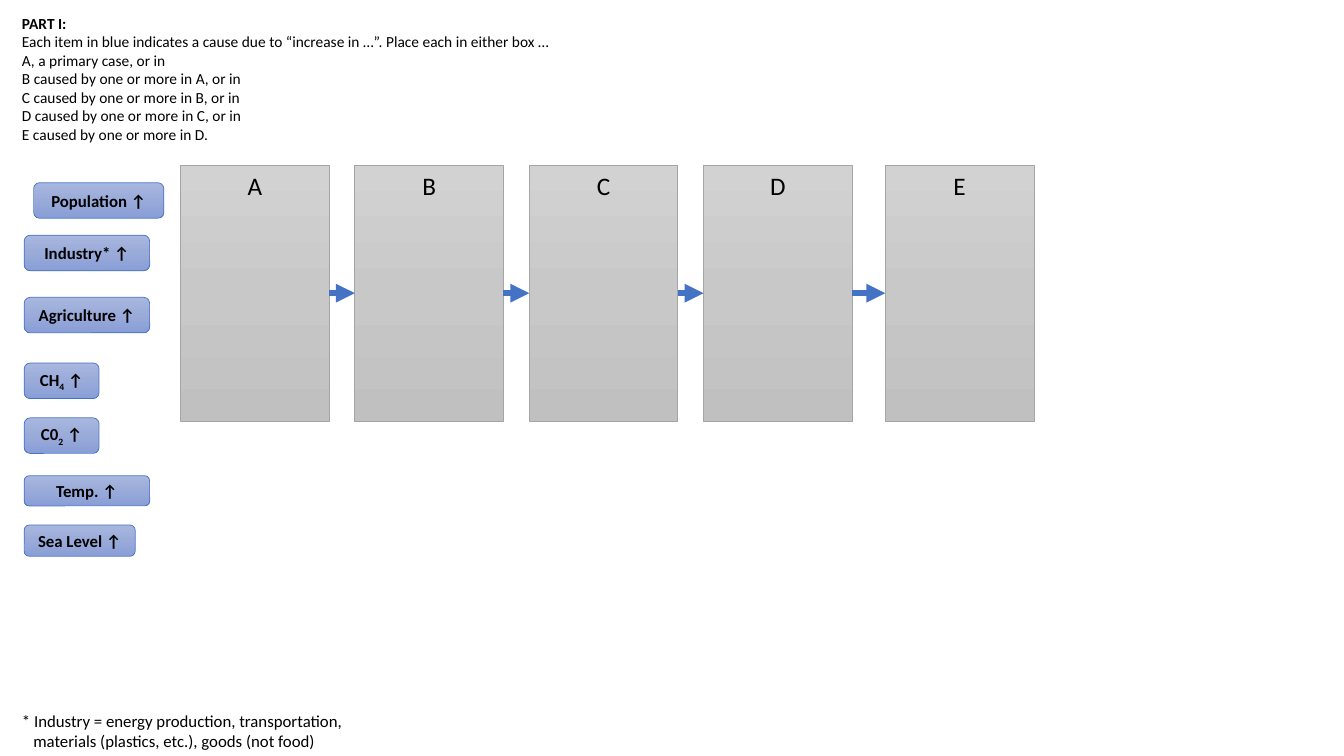
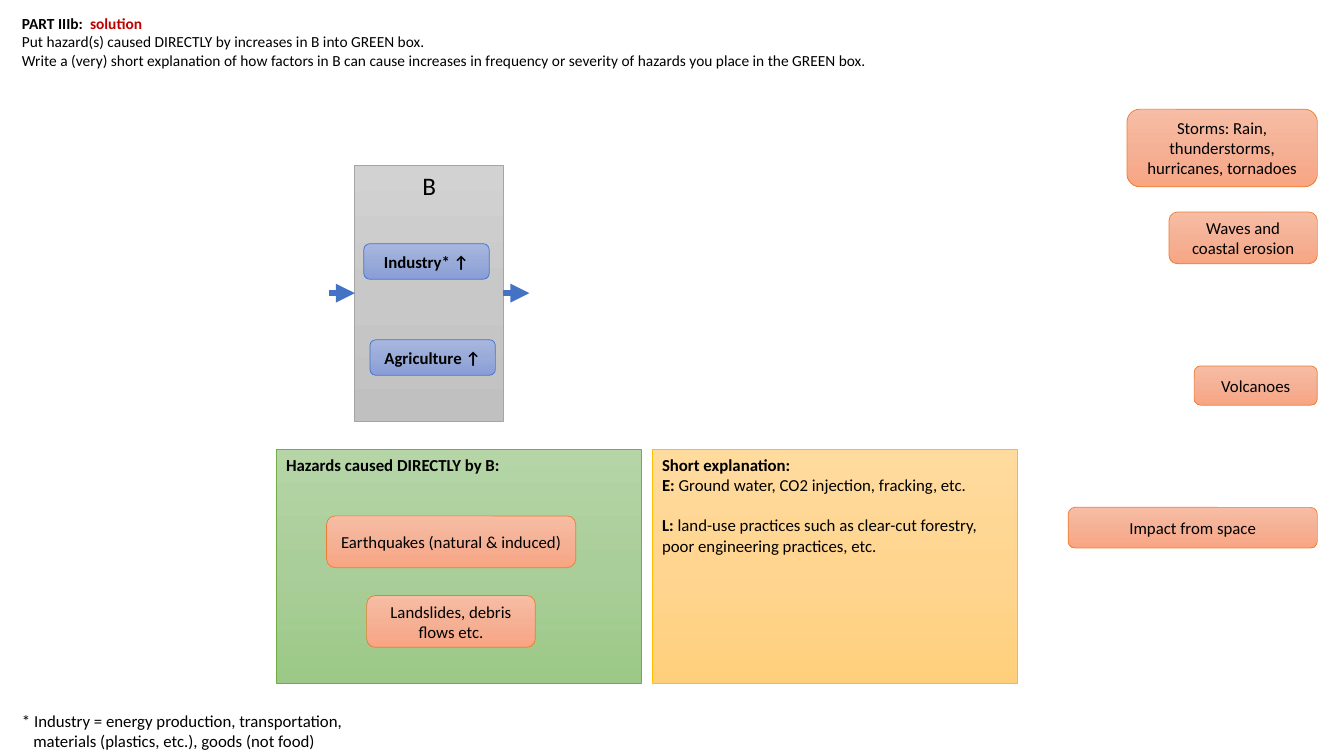
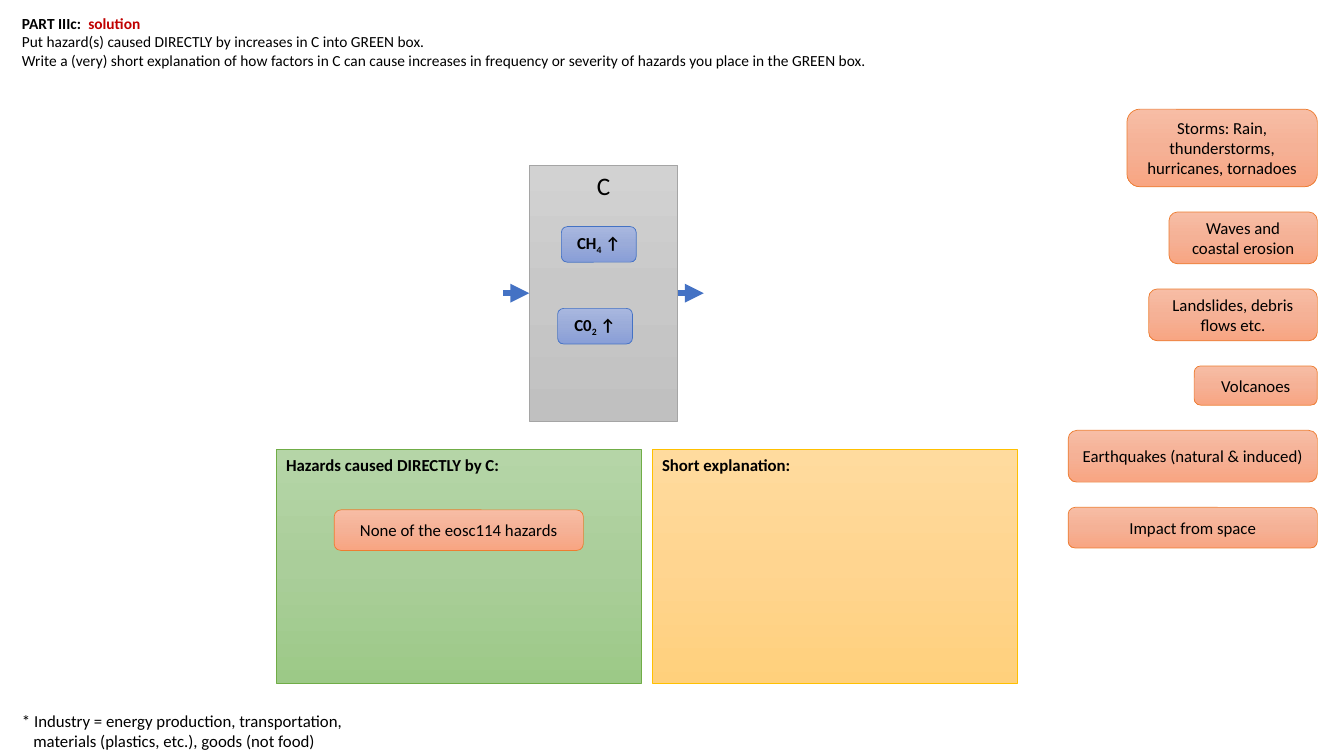
from collections import namedtuple
from copy import deepcopy

from pptx import Presentation
from pptx.dml.color import RGBColor
from pptx.enum.shapes import MSO_CONNECTOR, MSO_SHAPE
from pptx.enum.text import MSO_ANCHOR, PP_ALIGN
from pptx.oxml.ns import qn
from pptx.util import Pt
from lxml.etree import SubElement

Box = namedtuple("Box", "left top width height")
Span = namedtuple("Span", "text bold color subscript", defaults=(False, "000000", False))
Look = namedtuple("Look", "stops line")
Item = namedtuple("Item", "spans width height")

# Shared style
FONT = "Calibri"
RED = "C00000"
BLUE_LINE = "4472C4"
GREY = Look(("D2D2D2", "C8C8C8", "C0C0C0"), "A5A5A5")
BLUE = Look(("A8B7DF", "9AABD9", "889ED7"), BLUE_LINE)
ORANGE = Look(("F7BDA5", "F5B196", "F8A582"), "ED7D31")
GREEN = Look(("B5D5A7", "AACE9A", "9CC987"), "70AD47")
YELLOW = Look(("FFDB9E", "FFD590", "FFD07C"), "FFC000")

# Shared layout
COLUMNS = {letter: Box(128.9 + 124.55 * index, 118.1, 106.2, 182.6)
           for index, letter in enumerate("ABCD")}
COLUMNS["E"] = COLUMNS["A"]._replace(left=632.3)
ARROW_LENGTH = 18.5
PANELS = Box(197.3, 321, 529.1, 167.2)
PANEL_GAP = 7.9
STACK_RIGHT, STACK_TOP, STACK_GAP = 941, 78, 18


def bold(text, **style):
    return Span(text, True, **style)


def factor(text, width, height=25.4, subscript=""):
    if not subscript:
        return Item([bold(f"{text} ↑")], width, height)
    return Item([bold(text), bold(subscript, subscript=True), bold(" ↑")], width, height)


def hazard(text, width, height):
    return Item([Span(text)], width, height)


FACTORS = {
    "population": factor("Population", 93),
    "industry": factor("Industry*", 89.6),
    "agriculture": factor("Agriculture", 89.6),
    "methane": factor("CH", 53.5, subscript="4"),
    "carbon": factor("C0", 53.5, subscript="2"),
    "temperature": factor("Temp.", 89.6, 21.6),
    "sea": factor("Sea Level", 79.3, 22.4),
}
HAZARDS = {
    "storms": hazard("Storms: Rain, thunderstorms, hurricanes, tornadoes", 136, 55.4),
    "waves": hazard("Waves and coastal erosion", 106, 37),
    "landslides": hazard("Landslides, debris flows etc.", 120.5, 37),
    "volcanoes": hazard("Volcanoes", 88, 28),
    "earthquakes": hazard("Earthquakes (natural & induced)", 178, 37),
    "impact": hazard("Impact from space", 178, 29),
}
NO_HAZARD = hazard("None of the eosc114 hazards", 178, 29)


# Basic parts
def rgb(value):
    return RGBColor.from_string(value)


def points(box):
    return [Pt(length) for length in box]


def add_span(para, span, size):
    run = para.add_run()
    run.text = span.text
    font = run.font
    font.name, font.size, font.bold = FONT, Pt(size), span.bold
    font.color.rgb = rgb(span.color)
    if span.subscript:
        font._element.set("baseline", "-25000")


def write(shape, paras, size, align=PP_ALIGN.LEFT, anchor=MSO_ANCHOR.TOP):
    frame = shape.text_frame
    frame.word_wrap = True
    frame.vertical_anchor = anchor
    for index, spans in enumerate(paras):
        para = frame.add_paragraph() if index else frame.paragraphs[0]
        para.alignment = align
        for span in spans:
            add_span(para, span, size)
    return frame


def add_block(page, box, look, preset=MSO_SHAPE.RECTANGLE):
    shape = page.shapes.add_shape(preset, *points(box))
    shape.shadow.inherit = False
    shape.fill.gradient()
    shape.fill.gradient_angle = 270
    stop_list = shape._element.spPr.find(".//" + qn("a:gsLst"))
    stop_list.insert(1, deepcopy(stop_list[0]))
    for index, (stop, color) in enumerate(zip(shape.fill.gradient_stops, look.stops)):
        stop.position = index / 2
        stop.color.rgb = rgb(color)
    shape.line.color.rgb = rgb(look.line)
    shape.line.width = Pt(0.5)
    return shape


def add_pill(page, left, top, item, look):
    box = Box(left, top, item.width, item.height)
    shape = add_block(page, box, look, MSO_SHAPE.ROUNDED_RECTANGLE)
    write(shape, [item.spans], 12, PP_ALIGN.CENTER, MSO_ANCHOR.MIDDLE)


def add_arrow(page, start_x, end_x, y, source=None, target=None):
    arrow = page.shapes.add_connector(
        MSO_CONNECTOR.STRAIGHT, Pt(start_x), Pt(y), Pt(end_x), Pt(y))
    if source is not None:
        arrow.begin_connect(source, 3)
    if target is not None:
        arrow.end_connect(target, 1)
    arrow.line.color.rgb = rgb(BLUE_LINE)
    arrow.line.width = Pt(4.5)
    SubElement(arrow.line._get_or_add_ln(), qn("a:tailEnd")).set("type", "triangle")
    SubElement(arrow._element.spPr, qn("a:effectLst"))


# Regions
def add_header(page, box, paras):
    write(page.shapes.add_textbox(*points(box)), paras, 11)


def add_footnote(page, box):
    frame = write(page.shapes.add_textbox(*points(box)),
                  [[Span("* Industry = energy production, transportation,")]], 12)
    para = frame.paragraphs[0]
    para.add_line_break()
    add_span(para, Span("materials (plastics, etc.), goods (not food)"), 12)
    hanging = Pt(8.1)
    para._p.get_or_add_pPr().set("marL", str(hanging))
    para._p.get_or_add_pPr().set("indent", str(-hanging))


def add_column(page, box, letter):
    column = add_block(page, box, GREY)
    write(column, [[Span(letter)]], 18, PP_ALIGN.CENTER)
    return column


def add_chain(page, boxes):
    columns = {letter: add_column(page, box, letter) for letter, box in boxes.items()}
    letters = list(boxes)
    for first, second in zip(letters, letters[1:]):
        left, right = boxes[first], boxes[second]
        add_arrow(page, left.left + left.width, right.left, left.top + left.height / 2,
                  columns[first], columns[second])


def add_single_column(page, box, letter, factors):
    column = add_column(page, box, letter)
    middle, right = box.top + box.height / 2, box.left + box.width
    add_arrow(page, box.left - ARROW_LENGTH, box.left, middle, target=column)
    add_arrow(page, right, right + ARROW_LENGTH, middle, source=column)
    for name, (x, y) in factors.items():
        add_pill(page, box.left + x, box.top + y, FACTORS[name], BLUE)


def add_panels(page, box, letter, placed, explanation):
    width = (box.width - PANEL_GAP) / 2
    green = box._replace(width=width)
    yellow = green._replace(left=box.left + width + PANEL_GAP)
    write(add_block(page, green, GREEN),
          [[bold(f"Hazards caused DIRECTLY by {letter}:")]], 12)
    frame = write(add_block(page, yellow, YELLOW),
                  [[bold("Short explanation:")], *explanation], 12)
    for para in frame.paragraphs[2:]:
        para.space_before = Pt(14.6)
    for item, x, y in placed:
        add_pill(page, green.left + x, green.top + y, item, ORANGE)


def add_hazard_stack(page, right, top, used):
    for name, item in HAZARDS.items():
        if name not in used:
            add_pill(page, right - item.width, top, item, ORANGE)
        top += item.height + STACK_GAP


# Slide types
def new_page(deck):
    page = deck.slides.add_slide(deck.slide_layouts[6])
    add_footnote(page, Box(8.6, 504, 252, 36))
    return page


def add_sorting_page(deck):
    page = new_page(deck)
    add_header(page, Box(8.6, 6.5, 419, 100.8), [
        [bold("PART I:")],
        [Span("Each item in blue indicates a cause due to “increase in …”. "
              "Place each in either box …")],
        [Span("A, a primary case, or in")],
        [Span("B caused by one or more in A, or in")],
        [Span("C caused by one or more in B, or in")],
        [Span("D caused by one or more in C, or in")],
        [Span("E caused by one or more in D.")],
    ])
    add_chain(page, COLUMNS)
    tops = (130.5, 168, 212.4, 259.3, 298.5, 339.8, 375)
    for (name, item), top in zip(FACTORS.items(), tops):
        left = 24 if name == "population" else 17.3
        add_pill(page, left, top, item, BLUE)


def add_solution_page(deck, letter, header_width, factors, placed, explanation=(), used=()):
    page = new_page(deck)
    add_header(page, Box(8.6, 6.5, header_width, 47.5), [
        [bold(f"PART III{letter.lower()}:  "), bold("solution", color=RED)],
        [Span(f"Put hazard(s) caused DIRECTLY by increases in {letter} into GREEN box.")],
        [Span(f"Write a (very) short explanation of how factors in {letter} can cause "
              "increases in frequency or severity of hazards you place in the GREEN box.")],
    ])
    add_single_column(page, COLUMNS[letter], letter, factors)
    add_panels(page, PANELS, letter, placed, explanation)
    add_hazard_stack(page, STACK_RIGHT, STACK_TOP, used)


def main():
    deck = Presentation()
    deck.slide_width, deck.slide_height = Pt(960), Pt(540)
    add_sorting_page(deck)
    add_solution_page(
        deck, "B", 701.3,
        factors={"agriculture": (10.8, 124.6), "industry": (6.4, 56)},
        placed=[(HAZARDS["earthquakes"], 36, 47.5), (HAZARDS["landslides"], 64.6, 104.4)],
        explanation=[
            [bold("E: "), Span("Ground water, CO2 injection, fracking, etc.")],
            [bold("L: "), Span("land-use practices such as clear-cut forestry, "
                               "poor engineering practices, etc.")],
        ],
        used=("earthquakes", "landslides"))
    add_solution_page(
        deck, "C", 726.5,
        factors={"carbon": (20.3, 102.2), "methane": (23, 43.8)},
        placed=[(NO_HAZARD, 41.4, 43.2)])
    deck.save("out.pptx")


if __name__ == "__main__":
    main()
